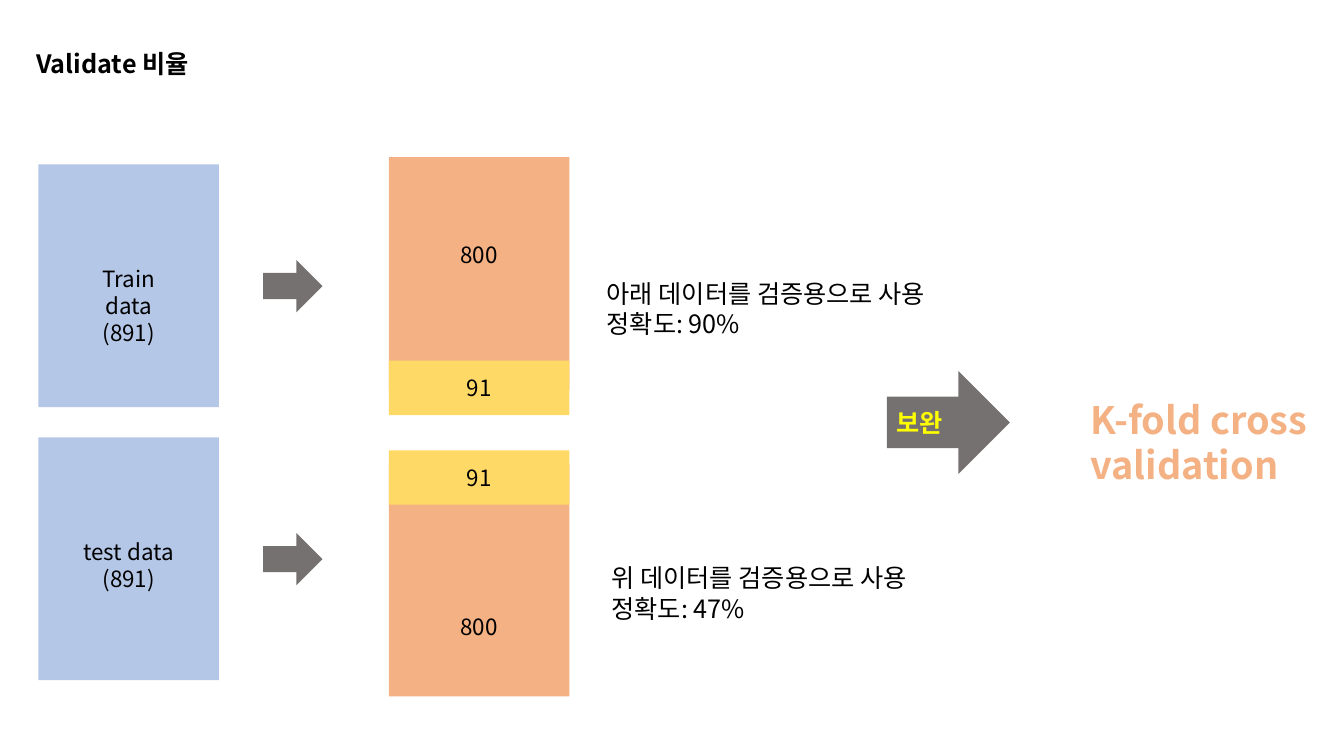
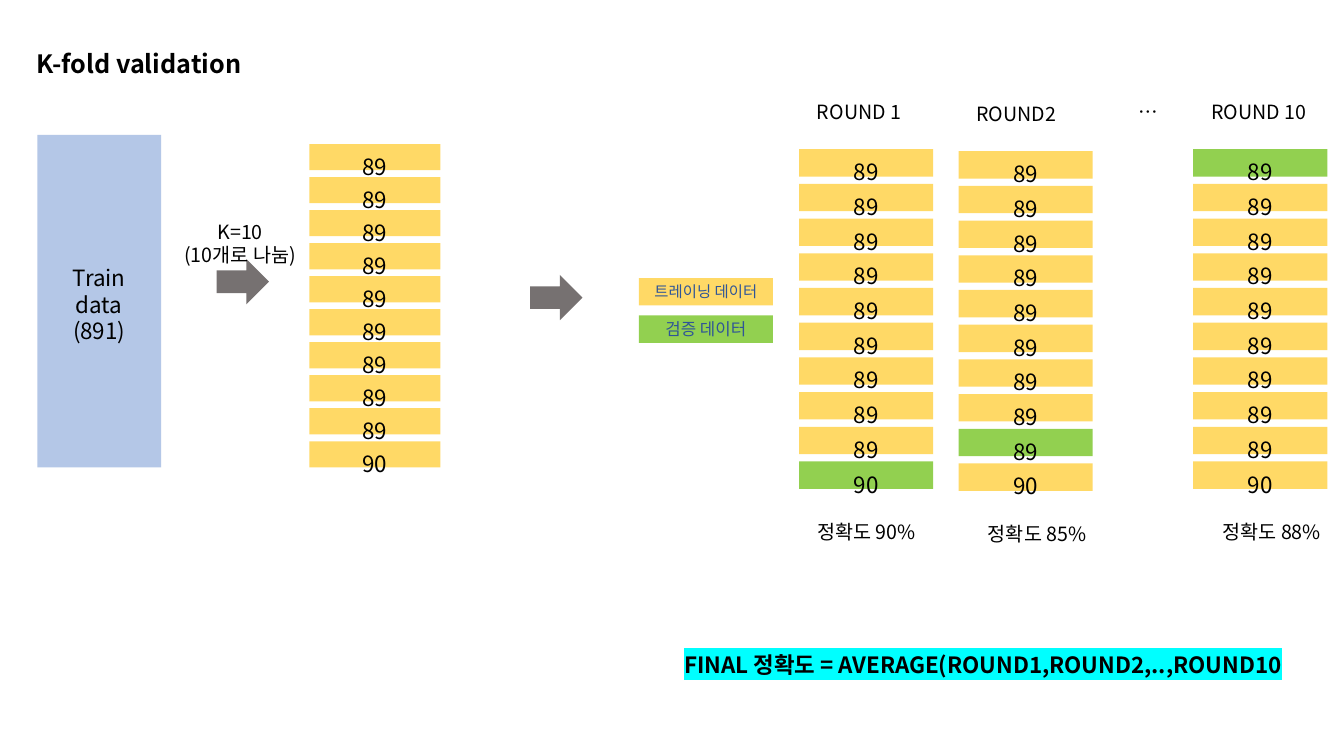
from lxml import etree
from pptx import Presentation
from pptx.dml.color import RGBColor
from pptx.enum.shapes import MSO_SHAPE
from pptx.enum.text import MSO_ANCHOR, PP_ALIGN
from pptx.oxml.ns import qn
from pptx.util import Cm, Pt

RECT, ARROW = MSO_SHAPE.RECTANGLE, MSO_SHAPE.RIGHT_ARROW
LEFT, CENTER = PP_ALIGN.LEFT, PP_ALIGN.CENTER
TOP, MIDDLE = MSO_ANCHOR.TOP, MSO_ANCHOR.MIDDLE

FONT = "Noto Sans CJK KR"
BLACK = RGBColor(0x00, 0x00, 0x00)
BLUE = RGBColor(0xB4, 0xC7, 0xE7)
DARK_BLUE = RGBColor(0x2F, 0x55, 0x97)
ORANGE = RGBColor(0xF4, 0xB1, 0x83)
GOLD = RGBColor(0xFF, 0xD9, 0x66)
GREEN = RGBColor(0x92, 0xD0, 0x50)
GRAY = RGBColor(0x76, 0x71, 0x71)
YELLOW = RGBColor(0xFF, 0xFF, 0x00)
CYAN = RGBColor(0x00, 0xFF, 0xFF)

TITLE_ONLY = 5
FOLDS = ["89"] * 9 + ["90"]


# Shared text and shape helpers; all lengths are centimetres
def write(shape, lines, size=16, color=BLACK, bold=False, align=CENTER,
          anchor=TOP, wrap=True, side=0.25, top=0.13, highlight=None):
    frame = shape.text_frame
    frame.word_wrap = wrap
    frame.vertical_anchor = anchor
    frame.margin_left = frame.margin_right = Cm(side)
    frame.margin_top, frame.margin_bottom = Cm(top), Cm(0.13)
    for number, line in enumerate(lines):
        paragraph = frame.add_paragraph() if number else frame.paragraphs[0]
        paragraph.alignment = align
        run = paragraph.add_run()
        run.text = line
        font = run.font
        font.size, font.bold, font.name = Pt(size), bold, FONT
        font.color.rgb = color
        properties = run._r.get_or_add_rPr()
        latin = properties.find(qn("a:latin"))
        east_asian = etree.Element(qn("a:ea"), typeface=FONT)
        latin.addnext(east_asian)
        if highlight is not None:
            mark = etree.Element(qn("a:highlight"))
            etree.SubElement(mark, qn("a:srgbClr"), val=str(highlight))
            latin.addprevious(mark)


def add_label(slide, box, lines, **style):
    label = slide.shapes.add_textbox(*map(Cm, box))
    write(label, lines, **style)


def add_block(slide, box, fill, lines=(), kind=RECT, **style):
    block = slide.shapes.add_shape(kind, *map(Cm, box))
    block.shadow.inherit = False
    block.fill.solid()
    block.fill.fore_color.rgb = fill
    block.line.fill.background()
    write(block, lines, **style)


def add_titled_slide(deck, heading):
    slide = deck.slides.add_slide(deck.slide_layouts[TITLE_ONLY])
    title = slide.shapes.title
    title.left, title.top, title.width, title.height = map(
        Cm, (0.66, 1.09, 16, 1.02))
    write(title, [heading], size=18, bold=True, align=LEFT)
    return slide


# One data set, its split and the resulting accuracy
def add_split_row(slide, left, top, source, training, validation, result):
    width = 4.55
    add_block(slide, (left, top, width, 6.12), BLUE, source,
              side=1.09, top=2.54)
    add_block(slide, (left + 5.66, top + 2.41, 1.5, 1.32), GRAY, kind=ARROW)
    split_left = left + 8.83
    offset, text_inset = training
    add_block(slide, (split_left, top + offset, width, 5.87), ORANGE, ["800"],
              top=text_inset)
    add_block(slide, (split_left, top + validation, width, 1.37), GOLD, ["91"],
              anchor=MIDDLE)
    dx, dy, result_width, lines = result
    add_label(slide, (left + dx, top + dy, result_width, 1.63), lines,
              size=18, align=LEFT, wrap=False)


# Ten evenly spaced folds; the one used for validation is green
def add_folds(slide, left, top, width, height, bar_height, validation=None):
    pitch = (height - bar_height) / (len(FOLDS) - 1)
    for number, count in enumerate(FOLDS):
        bar_top = top + number * pitch
        fill = GREEN if number == validation else GOLD
        add_block(slide, (left, bar_top, width, bar_height), fill)
        add_label(slide, (left, bar_top + 0.1, width, 0.86), [count])


# Heading, folds and accuracy of one round
def add_round(slide, left, top, heading, heading_width, validation,
              accuracy, accuracy_dx):
    add_label(slide, (left + 0.2, top - 1.38, heading_width, 0.86), [heading],
              size=14, align=LEFT, wrap=False)
    add_folds(slide, left, top, 3.38, 8.56, 0.69, validation)
    add_label(slide, (left + accuracy_dx, top + 9.22, 3.56, 0.86),
              [f"정확도 {accuracy}"], size=14)


def build_ratio_slide(deck):
    slide = add_titled_slide(deck, "Validate 비율")
    add_split_row(slide, 0.97, 4.14, ["Train data", "(891)"],
                  training=(-0.18, 2.11), validation=4.95,
                  result=(14.07, 2.74, 8.64,
                          ["아래 데이터를 검증용으로 사용", "정확도: 90%"]))
    add_split_row(slide, 0.97, 11.02, ["test data", "(891)"],
                  training=(0.66, 3.78), validation=0.33,
                  result=(14.19, 3.03, 8.05,
                          ["위 데이터를 검증용으로 사용", "정확도: 47%"]))
    # Remedy
    add_block(slide, (22.35, 9.35, 3.1, 2.59), GRAY, ["보완"], kind=ARROW,
              size=18, color=YELLOW, bold=True, align=LEFT, anchor=MIDDLE)
    add_label(slide, (27.23, 9.86, 6.4, 2.57), ["K-fold cross validation"],
              size=27, color=ORANGE, bold=True, align=LEFT)


def build_kfold_slide(deck):
    slide = add_titled_slide(deck, "K-fold validation")
    # Splitting the training data
    add_block(slide, (0.94, 3.4, 3.12, 8.38), BLUE, ["Train data", "(891)"],
              side=0.56, top=3.25)
    for left, top in ((5.46, 6.53), (13.36, 6.93)):
        add_block(slide, (left, top, 1.32, 1.14), GRAY, kind=ARROW)
    add_label(slide, (4.06, 5.41, 3.99, 1.27), ["K=10", "(10개로 나눔)"],
              size=14)
    add_folds(slide, 7.8, 3.63, 3.3, 8.15, 0.66)
    # Legend
    for top, fill, meaning, size in ((7.01, GOLD, "트레이닝 데이터", 11),
                                     (7.95, GREEN, "검증 데이터", 12)):
        add_block(slide, (16.1, top, 3.38, 0.69), fill, [meaning],
                  size=size, color=DARK_BLUE, anchor=MIDDLE)
    # Rounds
    for round_parts in ((20.14, 3.76, "ROUND 1", 2.74, 9, "90%", -0.08),
                        (24.16, 3.81, "ROUND2", 2.57, 8, "85%", 0.2),
                        (30.07, 3.76, "ROUND 10", 3.02, 0, "88%", 0.2)):
        add_round(slide, *round_parts)
    add_label(slide, (28.45, 2.39, 0.89, 0.86), ["…"], size=14, align=LEFT,
              wrap=False)
    # Final accuracy
    add_label(slide, (15.82, 16.28, 17.91, 0.94),
              ["FINAL 정확도 = AVERAGE(ROUND1,ROUND2,..,ROUND10"],
              bold=True, highlight=CYAN)


def main():
    deck = Presentation()
    deck.slide_width, deck.slide_height = Cm(33.87), Cm(19.05)
    build_ratio_slide(deck)
    build_kfold_slide(deck)
    deck.save("out.pptx")


if __name__ == "__main__":
    main()
